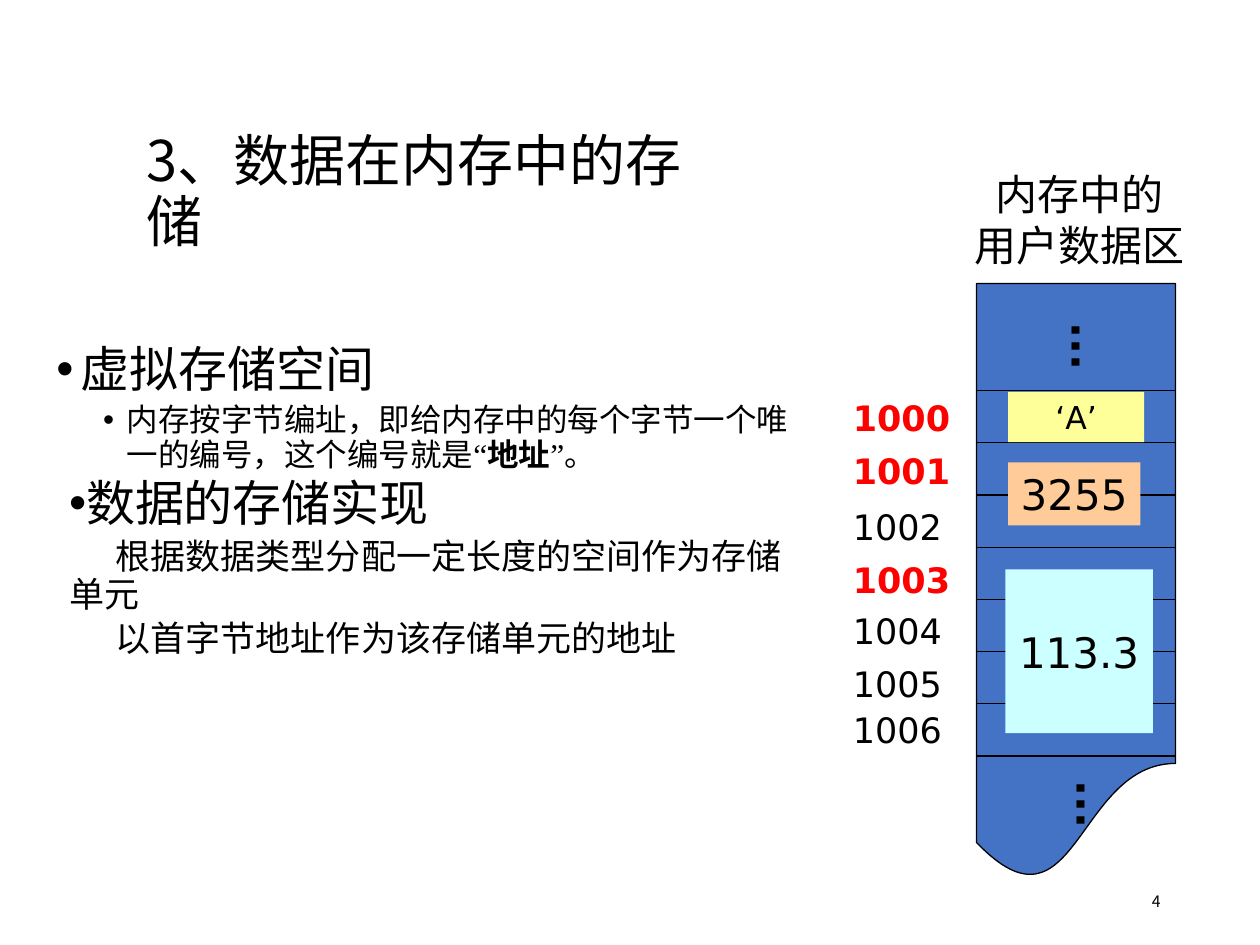
"""Builds a slide on how data is stored in memory."""
from lxml import etree
from pptx import Presentation
from pptx import util as u
from pptx.dml.color import RGBColor
from pptx.enum import shapes, text
from pptx.oxml import ns

BLACK = RGBColor(0x00, 0x00, 0x00)
RED = RGBColor(0xFF, 0x00, 0x00)
BLUE = RGBColor(0x44, 0x72, 0xC4)
YELLOW = RGBColor(0xFF, 0xFF, 0x99)
ORANGE = RGBColor(0xFF, 0xCC, 0x99)
CYAN = RGBColor(0xCC, 0xFF, 0xFF)
CJK, SANS, SERIF = "Noto Sans CJK SC", "DejaVu Sans", "Times New Roman"
LEFT, CENTER, RIGHT = text.PP_ALIGN.LEFT, text.PP_ALIGN.CENTER, text.PP_ALIGN.RIGHT
TOP, MIDDLE = text.MSO_ANCHOR.TOP, text.MSO_ANCHOR.MIDDLE


class MemorySlide:
    def __init__(self, presentation):
        self.slide = presentation.slides.add_slide(presentation.slide_layouts[5])
        self.shapes = self.slide.shapes

    def run(self, paragraph, words, size, font=SANS, color=BLACK, bold=False):
        run = paragraph.add_run()
        run.text = words
        run.font.size = u.Pt(size)
        run.font.bold = bold
        run.font.color.rgb = color
        run.font.name = font
        east_asian = etree.Element(ns.qn("a:ea"), typeface=font)
        run.font._element.find(ns.qn("a:latin")).addnext(east_asian)

    def frame(self, shape, wrap=True, anchor=TOP):
        frame = shape.text_frame
        frame.word_wrap = wrap
        frame.auto_size = text.MSO_AUTO_SIZE.NONE
        frame.vertical_anchor = anchor
        return frame

    def title(self, words, left, top, width, height):
        title = self.shapes.title
        title.left, title.top = u.Inches(left), u.Inches(top)
        title.width, title.height = u.Inches(width), u.Inches(height)
        paragraph = self.frame(title, anchor=MIDDLE).paragraphs[0]
        paragraph.alignment = LEFT
        paragraph.line_spacing = 0.9
        self.run(paragraph, words, 32, CJK)

    def textbox(self, left, top, width, height, wrap=True, anchor=TOP):
        box = self.shapes.add_textbox(*map(u.Inches, (left, top, width, height)))
        return self.frame(box, wrap, anchor)

    def label(self, lines, position, size, align=LEFT, wrap=True, anchor=TOP, **style):
        frame = self.textbox(*position, wrap, anchor)
        for index, line in enumerate(lines):
            paragraph = frame.add_paragraph() if index else frame.paragraphs[0]
            paragraph.alignment = align
            self.run(paragraph, line, size, **style)
        return frame

    def ellipsis(self, left, top):
        frame = self.label(["..."], (left, top, 0.52, 0.46), 24, wrap=False, bold=True)
        frame.paragraphs[0].line_spacing = 0.8
        frame._txBody.bodyPr.set("vert", "eaVert")

    def body(self, items, left, top, width, height):
        frame = self.textbox(left, top, width, height)
        for index, (margin, indent, bullet, size, runs) in enumerate(items):
            paragraph = frame.add_paragraph() if index else frame.paragraphs[0]
            paragraph.line_spacing = 0.9
            if index:
                paragraph.space_before = u.Pt(3.8)
            properties = paragraph._p.get_or_add_pPr()
            properties.set("marL", str(u.Inches(margin)))
            properties.set("indent", str(u.Inches(indent)))
            if bullet:
                etree.SubElement(properties, ns.qn("a:buFont"), typeface="Arial")
                etree.SubElement(properties, ns.qn("a:buChar"), char="•")
            for words, font, bold in runs:
                self.run(paragraph, words, size, font, bold=bold)

    def block(self, kind, position, fill, outlined=False, words="", size=24):
        shape = self.shapes.add_shape(kind, *map(u.Inches, position))
        shape.shadow.inherit = False
        shape.fill.solid()
        shape.fill.fore_color.rgb = fill
        if outlined:
            shape.line.color.rgb = BLACK
            shape.line.width = u.Pt(0.75)
        else:
            shape.line.fill.background()
        if words:
            paragraph = self.frame(shape, False, MIDDLE).paragraphs[0]
            paragraph.alignment = CENTER
            self.run(paragraph, words, size)

    def divider(self, left, right, top):
        line = self.shapes.add_connector(
            shapes.MSO_CONNECTOR.STRAIGHT, *map(u.Inches, (left, top, right, top)))
        line.line.color.rgb = BLACK
        line.line.width = u.Pt(0.75)
        etree.SubElement(line._element.spPr, ns.qn("a:effectLst"))


def main():
    presentation = Presentation()
    presentation.slide_width, presentation.slide_height = u.Inches(10), u.Inches(7.5)
    memory = MemorySlide(presentation)

    memory.title("3、数据在内存中的存储", 1.06, 1.07, 4.88, 0.94)
    memory.body([
        (0.19, -0.19, True, 28, [("虚拟存储空间", CJK, False)]),
        (0.56, -0.19, True, 18, [
            ("内存按字节编址，即给内存中的每个字节一个唯一的编号，这个编号就是", CJK, False),
            ("“", SERIF, False), ("地址", CJK, True), ("”", SERIF, False),
            ("。", CJK, False)]),
        (0.1, 0, True, 28, [("数据的存储实现", CJK, False)]),
        (0.1, 0.37, False, 20,
         [("根据数据类型分配一定长度的空间作为存储单元", CJK, False)]),
        (0.1, 0.37, False, 20, [("以首字节地址作为该存储单元的地址", CJK, False)]),
    ], 0.35, 2.69, 6.03, 2.88)
    memory.label(["4"], (7.06, 6.95, 2.25, 0.4), 9, RIGHT, anchor=MIDDLE, font=CJK)

    memory.block(shapes.MSO_SHAPE.FLOWCHART_DOCUMENT, (7.75, 2.25, 1.58, 4.75), BLUE, True)
    for index in range(8):
        memory.divider(7.75, 9.33, 3.1 + index * 2.9 / 7)
    memory.ellipsis(8.33, 6.1)
    memory.label(["内存中的", "用户数据区"], (7.6, 1.29, 1.93, 0.9), 24, CENTER)
    memory.ellipsis(8.29, 2.46)

    first_bytes = (1000, 1001, 1003)
    for address, top in enumerate((3.1, 3.52, 3.96, 4.38, 4.79, 5.21, 5.57), 1000):
        first = address in first_bytes
        memory.label([str(address)], (6.67, top, 1 if first else 0.91, 0.44), 20,
                     wrap=False, color=RED if first else BLACK, bold=first)

    for words, size, fill, position in (
            ("‘A’", 18, YELLOW, (8, 3.11, 1.08, 0.4)),
            ("3255", 24, ORANGE, (8, 3.67, 1.05, 0.5)),
            ("113.3", 24, CYAN, (7.98, 4.52, 1.17, 1.3))):
        memory.block(shapes.MSO_SHAPE.RECTANGLE, position, fill, words=words, size=size)

    presentation.save("out.pptx")


if __name__ == "__main__":
    main()
